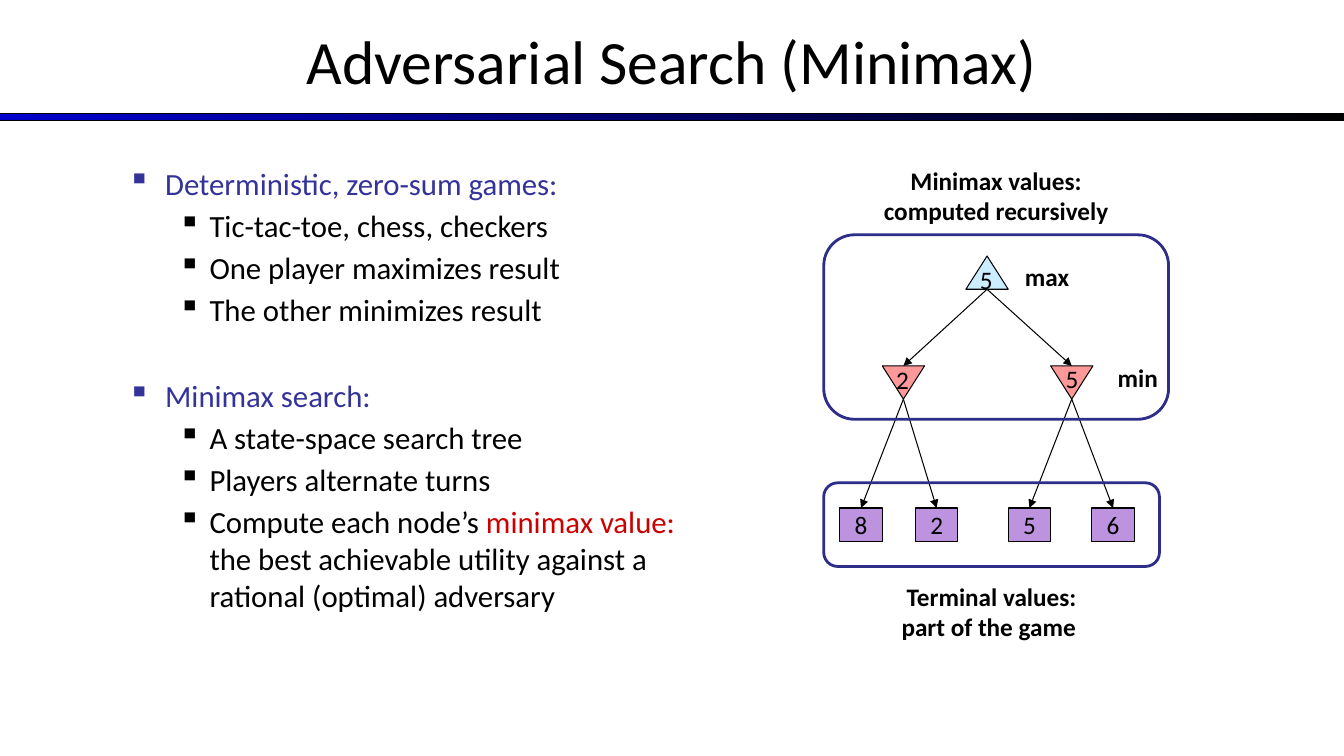
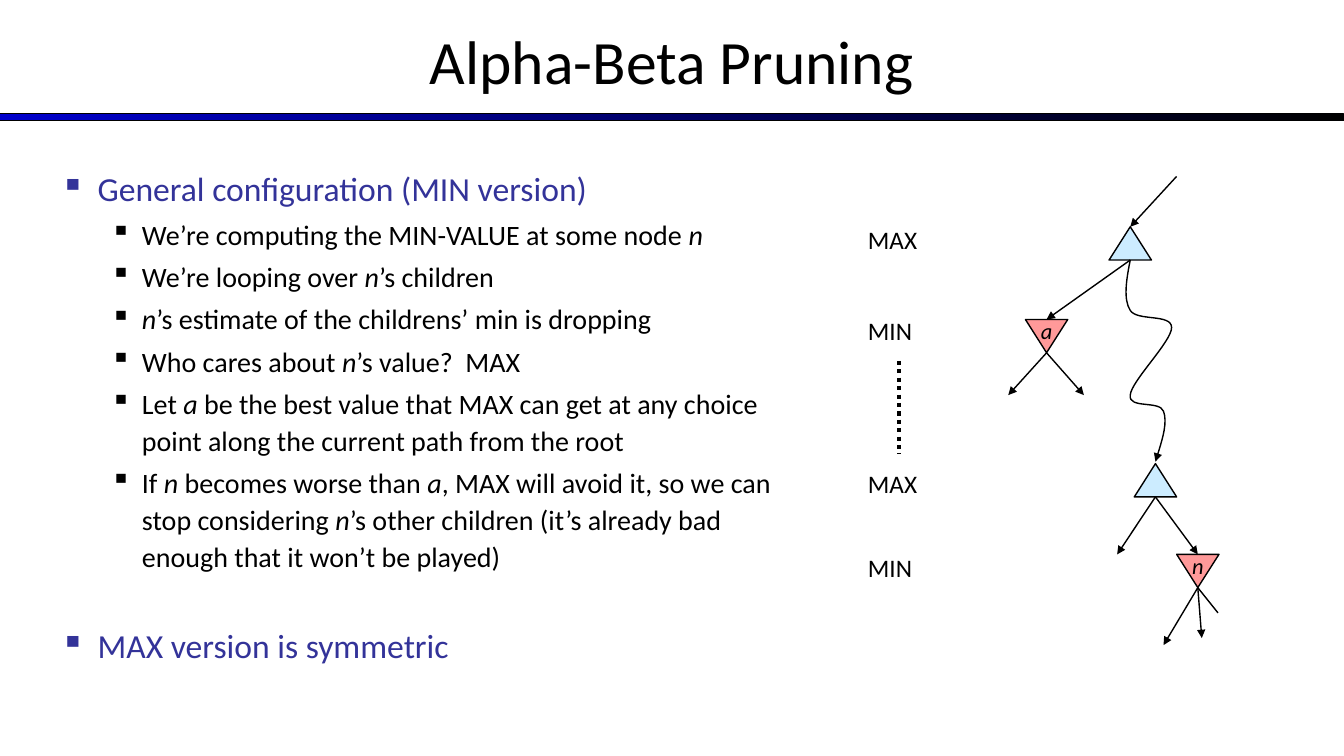
from dataclasses import dataclass
from typing import Any

from lxml import etree
from pptx import Presentation
from pptx.dml.color import RGBColor
from pptx.enum.dml import MSO_LINE
from pptx.enum.shapes import MSO_CONNECTOR, MSO_SHAPE
from pptx.enum.text import MSO_ANCHOR, PP_ALIGN
from pptx.oxml.ns import qn
from pptx.util import Inches, Pt

RECTANGLE, ROUNDED = MSO_SHAPE.RECTANGLE, MSO_SHAPE.ROUNDED_RECTANGLE
TRIANGLE = MSO_SHAPE.ISOSCELES_TRIANGLE
STRAIGHT = MSO_CONNECTOR.STRAIGHT
LEFT, CENTER = PP_ALIGN.LEFT, PP_ALIGN.CENTER
TOP, MIDDLE = MSO_ANCHOR.TOP, MSO_ANCHOR.MIDDLE
DOTTED = MSO_LINE.ROUND_DOT

FONT = "Calibri"
BLACK, WHITE, RED = "000000", "FFFFFF", "CC0000"
BAND_BLUE, HEADING_BLUE, PANEL_BLUE = "0000CC", "333399", "2D2D8A"
MAX_FILL, MIN_FILL, LEAF_FILL = "CCECFF", "FF9999", "BD92DE"
NODE_W, NODE_H = 0.42, 0.33
SECTION_GAP, BULLET_GAP = 34.5, 3.8

Point = tuple[float, float]


@dataclass(frozen=True)
class Box:
    left: float
    top: float
    width: float
    height: float

    def emu(self) -> list[int]:
        return [Inches(v) for v in (self.left, self.top, self.width, self.height)]


@dataclass(frozen=True)
class Node:
    """A game tree node, placed by its top left corner."""
    left: float
    top: float
    is_max: bool = True
    label: str = ""

    @property
    def box(self) -> Box:
        return Box(self.left, self.top, NODE_W, NODE_H)

    @property
    def head(self) -> Point:
        return self.left + NODE_W / 2, self.top

    @property
    def foot(self) -> Point:
        return self.left + NODE_W / 2, self.top + NODE_H


@dataclass(frozen=True)
class Bullet:
    """A bullet line; text between asterisks is emphasised."""
    text: str
    level: int = 1
    gap: float = BULLET_GAP


@dataclass(frozen=True)
class Label:
    text: str
    box: Box
    bold: bool = False
    align: Any = LEFT
    anchor: Any = MIDDLE
    wrap: bool = False


def rgb(color: str) -> RGBColor:
    return RGBColor.from_string(color)


def set_all(target: Any, values: dict[str, Any]) -> None:
    for name, value in values.items():
        setattr(target, name, value)


def format_runs(paragraph: Any, size: float, color: str = BLACK, **extra: Any) -> None:
    for run in paragraph.runs:
        set_all(run.font, {"name": FONT, "size": Pt(size), **extra})
        run.font.color.rgb = rgb(color)


def write(frame: Any, text: str, size: float, align: Any, anchor: Any = MIDDLE,
          wrap: bool = False, **extra: Any) -> None:
    set_all(frame, {"word_wrap": wrap, "vertical_anchor": anchor})
    paragraph = frame.paragraphs[0]
    set_all(paragraph, {"text": text, "alignment": align})
    format_runs(paragraph, size, **extra)


def outline(shape: Any, width: float, color: str = BLACK, arrow: bool = False) -> None:
    shape.line.color.rgb = rgb(color)
    shape.line.width = Pt(width)
    if arrow:
        etree.SubElement(shape._element.spPr.find(qn("a:ln")), qn("a:tailEnd"), type="triangle")


def add_shape(slide: Any, kind: Any, box: Box, fill: str | None, width: float,
              color: str = BLACK) -> Any:
    shape = slide.shapes.add_shape(kind, *box.emu())
    shape.shadow.inherit = False
    if fill:
        shape.fill.solid()
        shape.fill.fore_color.rgb = rgb(fill)
    else:
        shape.fill.background()
    outline(shape, width, color)
    return shape


def add_line(slide: Any, start: Point, end: Point, width: float, arrow: bool = True,
             dash: Any = None) -> Any:
    line = slide.shapes.add_connector(STRAIGHT, *(Inches(v) for v in (*start, *end)))
    line.line.dash_style = dash
    outline(line, width, arrow=arrow)
    etree.SubElement(line._element.spPr, qn("a:effectLst"))
    return line


def add_node(slide: Any, node: Node, width: float) -> None:
    """Max nodes point up, min nodes point down."""
    triangle = add_shape(slide, TRIANGLE, node.box, MAX_FILL if node.is_max else MIN_FILL, width)
    if not node.is_max:
        triangle._element.spPr.find(qn("a:xfrm")).set("flipV", "1")
    if node.label:
        frame = triangle.text_frame
        write(frame, node.label, 16, CENTER, italic=True)
        frame.margin_top = Inches(0.1)
        frame._txBody.find(qn("a:bodyPr")).set("rot", "10800000")


def add_label(slide: Any, label: Label) -> None:
    frame = slide.shapes.add_textbox(*label.box.emu()).text_frame
    write(frame, label.text, 18, label.align, label.anchor, label.wrap, bold=label.bold)


def add_curve(slide: Any, start: Point, controls: list[Point], width: float) -> None:
    """Draw cubic curves; each takes three control points."""
    builder = slide.shapes.build_freeform(*(Inches(v) for v in start))
    builder.add_line_segments([(Inches(x), Inches(y)) for x, y in controls], close=False)
    curve = builder.convert_to_shape()
    curve.shadow.inherit = False
    curve.fill.background()
    outline(curve, width, arrow=True)
    route = next(curve._element.iter(qn("a:path")))
    segments = route.findall(qn("a:lnTo"))
    for first in range(0, len(segments), 3):
        cubic = etree.SubElement(route, qn("a:cubicBezTo"))
        for segment in segments[first:first + 3]:
            cubic.append(segment[0])
            route.remove(segment)


def add_bullets(slide: Any, box: Box, bullets: list[Bullet], sizes: tuple[int, int],
                emphasis: dict[str, Any], spacing: float = 1.0) -> None:
    frame = slide.shapes.add_textbox(*box.emu()).text_frame
    frame.word_wrap = True
    for index, bullet in enumerate(bullets):
        paragraph = frame.add_paragraph() if index else frame.paragraphs[0]
        set_all(paragraph, {"level": bullet.level, "space_before": Pt(bullet.gap),
                            "line_spacing": spacing})
        color = BLACK if bullet.level else HEADING_BLUE
        margin, hanging = (0.81, 0.31) if bullet.level else (0.37, 0.37)
        props = paragraph._p.get_or_add_pPr()
        props.set("marL", str(Inches(margin)))
        props.set("indent", str(-Inches(hanging)))
        mark_color = etree.SubElement(props, qn("a:buClr"))
        etree.SubElement(mark_color, qn("a:srgbClr"), val=color)
        etree.SubElement(props, qn("a:buChar"), char="▪")
        pieces = bullet.text.split("*")
        for piece in pieces:
            paragraph.add_run().text = piece
        format_runs(paragraph, sizes[bullet.level], color)
        for run in paragraph.runs[1::2]:
            if "color" in emphasis:
                run.font.color.rgb = rgb(emphasis["color"])
            else:
                set_all(run.font, emphasis)
        for run in [r for r in paragraph.runs if not r.text]:
            paragraph._p.remove(run._r)


def add_slide(deck: Any, heading: str) -> Any:
    """Add a slide with the shared title and gradient band."""
    slide = deck.slides.add_slide(deck.slide_layouts[5])
    slide.background.fill.solid()
    slide.background.fill.fore_color.rgb = rgb(WHITE)
    band = add_shape(slide, RECTANGLE, Box(0, 1.13, 13.33, 0.07), None, 0.75)
    band.fill.gradient()
    band.fill.gradient_angle = 0
    for stop, color in zip(band.fill.gradient_stops, (BAND_BLUE, BLACK)):
        stop.color.rgb = rgb(color)
    title = slide.shapes.title
    set_all(title, dict(zip(("left", "top", "width", "height"),
                            Box(0, -0.03, 13.33, 1.25).emu())))
    write(title.text_frame, heading, 44, CENTER, wrap=True)
    return slide


def build_minimax(deck: Any) -> None:
    slide = add_slide(deck, "Adversarial Search (Minimax)")
    add_bullets(slide, Box(1.17, 1.58, 6, 4.95), [
        Bullet("Deterministic, zero-sum games:", 0),
        Bullet("Tic-tac-toe, chess, checkers"),
        Bullet("One player maximizes result"),
        Bullet("The other minimizes result"),
        Bullet("Minimax search:", 0, SECTION_GAP),
        Bullet("A state-space search tree"),
        Bullet("Players alternate turns"),
        Bullet("Compute each node’s *minimax value: *the best achievable utility "
               "against a rational (optimal) adversary"),
    ], (22, 22), {"color": RED})

    # Game tree
    root = Node(9.58, 2.54)
    replies = [Node(8.75, 3.63, False), Node(10.42, 3.63, False)]
    for node in (root, *replies):
        add_node(slide, node, 0.75)
    for reply in replies:
        add_line(slide, root.foot, reply.head, 0.75)
    for left, value, parent in ((8.33, "8", 0), (9.08, "2", 0), (10, "5", 1), (10.83, "6", 1)):
        leaf = Node(left, 5.04)
        terminal = add_shape(slide, RECTANGLE, leaf.box, LEAF_FILL, 0.75)
        write(terminal.text_frame, value, 18, CENTER)
        add_line(slide, replies[parent].foot, leaf.head, 0.75).end_connect(terminal, 0)

    # Panels and labels
    for panel in (Box(8.17, 4.79, 3.33, 0.83), Box(8.17, 2.33, 3.42, 1.83)):
        add_shape(slide, ROUNDED, panel, None, 2, PANEL_BLUE)
    for text, box in (("max", Box(10.02, 2.54, 0.73, 0.4)),
                      ("min", Box(10.92, 3.54, 0.73, 0.4)),
                      ("Terminal values:\npart of the game ", Box(8.17, 5.71, 3.33, 0.71)),
                      ("Minimax values:\ncomputed recursively", Box(8.17, 1.58, 3.42, 0.71))):
        add_label(slide, Label(text, box, True, CENTER, wrap=True))
    for value, left, top in (("2", 8.79, 3.57), ("5", 10.47, 3.56), ("5", 9.62, 2.57)):
        add_label(slide, Label(value, Box(left, top, 0.34, 0.4), anchor=TOP))


def build_pruning(deck: Any) -> None:
    slide = add_slide(deck, "Alpha-Beta Pruning")
    add_bullets(slide, Box(0.5, 1.58, 7.5, 4.95), [
        Bullet("General configuration (MIN version)", 0),
        Bullet("We’re computing the MIN-VALUE at some node *n*"),
        Bullet("We’re looping over *n*’s children"),
        Bullet("*n*’s estimate of the childrens’ min is dropping"),
        Bullet("Who cares about *n*’s value?  MAX"),
        Bullet("Let *a* be the best value that MAX can get at any choice point "
               "along the current path from the root"),
        Bullet("If *n* becomes worse than *a*, MAX will avoid it, so we can stop considering "
               "*n*’s other children (it’s already bad enough that it won’t be played)"),
        Bullet("MAX version is symmetric", 0, SECTION_GAP),
    ], (24, 20), {"italic": True}, 1.1)

    # Level names
    for text, top in (("MAX", 2.18), ("MIN", 3.08), ("MAX", 4.6), ("MIN", 5.43)):
        add_label(slide, Label(text, Box(8.51, top, 0.69, 0.4)))
    add_line(slide, (8.92, 3.58), (8.92, 4.5), 3, False, DOTTED)

    # Tree along the current path
    upper, best = Node(11, 2.25), Node(10.17, 3.17, False, "a")
    lower, current = Node(11.25, 4.6), Node(11.67, 5.5, False, "n")
    for node in (upper, best, lower, current):
        add_node(slide, node, 1)
    for start, end in (((11.67, 1.75), upper.head), (upper.foot, best.head),
                       (best.foot, (10.75, 3.92)), (best.foot, (10, 3.92)),
                       (lower.foot, current.head), (lower.foot, (11.08, 5.5)),
                       (current.foot, (11.54, 6.4)), (current.foot, (11.92, 6.33))):
        add_line(slide, start, end, 1)
    add_line(slide, current.foot, (12.08, 6.08), 1, False)
    add_curve(slide, upper.foot, [
        (11.17, 2.78), (11.14, 2.97), (11.21, 3.08), (11.28, 3.19), (11.62, 3.11),
        (11.62, 3.25), (11.62, 3.39), (11.22, 3.78), (11.21, 3.92), (11.19, 4.06),
        (11.5, 3.97), (11.54, 4.08), (11.58, 4.19), (11.52, 4.39), (11.46, 4.58)], 1)


def main() -> None:
    deck = Presentation()
    set_all(deck, {"slide_width": Inches(13.33), "slide_height": Inches(7.5)})
    build_minimax(deck)
    build_pruning(deck)
    deck.save("out.pptx")


if __name__ == "__main__":
    main()
